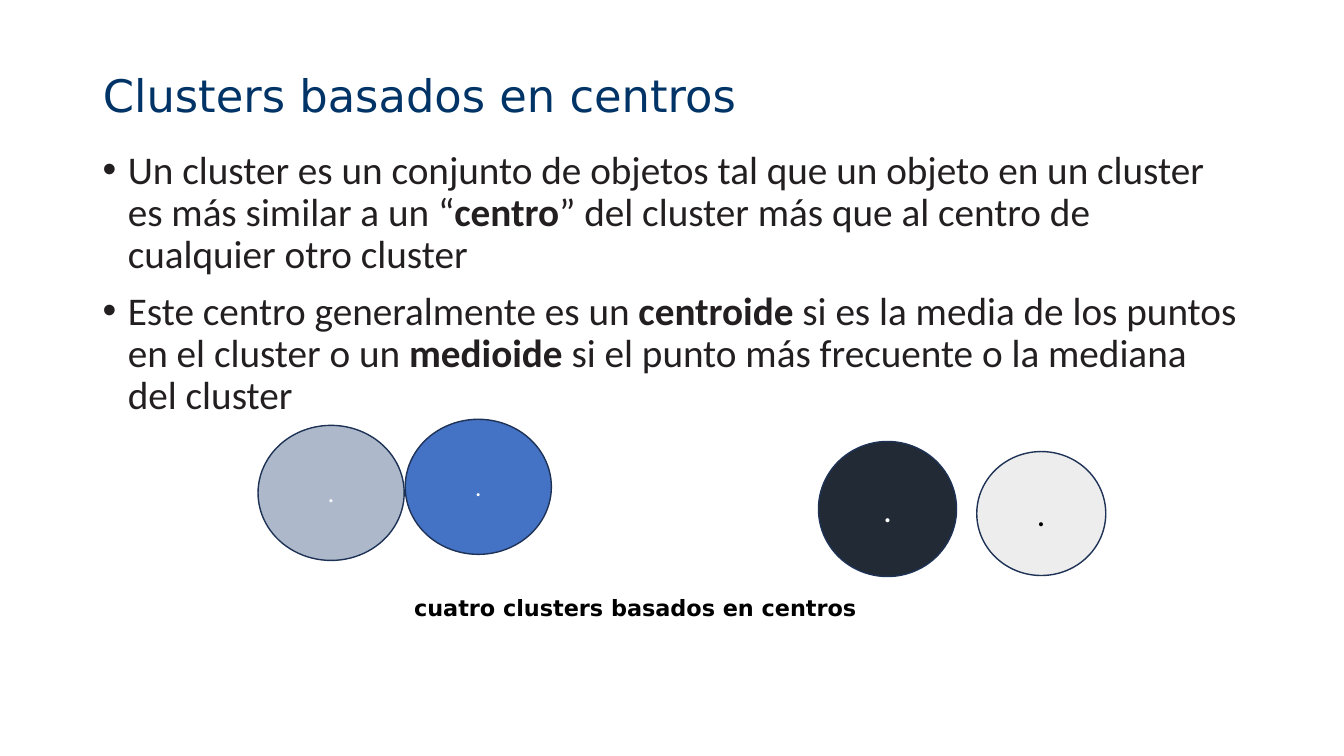
"""Build the slide on clusters based on centres."""
from dataclasses import dataclass

from lxml import etree
from pptx import Presentation
from pptx.dml.color import RGBColor
from pptx.enum.shapes import MSO_SHAPE
from pptx.enum.text import MSO_ANCHOR, MSO_AUTO_SIZE, PP_ALIGN
from pptx.oxml.ns import qn
from pptx.util import Pt

OVAL = MSO_SHAPE.OVAL
TOP, MIDDLE = MSO_ANCHOR.TOP, MSO_ANCHOR.MIDDLE
LEFT, CENTER, JUSTIFY = PP_ALIGN.LEFT, PP_ALIGN.CENTER, PP_ALIGN.JUSTIFY
NO_FIT = MSO_AUTO_SIZE.NONE
HEAD, BODY = "DejaVu Sans", "Calibri"
COLORS = {
    "title": "003366", "body": "231F20", "edge": "1E3256",
    "blue": "4472C4", "steel": "ADB9CA", "navy": "222A35",
    "pale": "EDEDED", "white": "FFFFFF", "black": "000000",
}


@dataclass
class Box:
    """Place and size in points."""
    left: float
    top: float
    width: float
    height: float


@dataclass
class Cluster:
    """A round cluster with a dot at its centre."""
    box: Box
    fill: str
    dot: str
    size: int


@dataclass
class Part:
    """A stretch of text, bold or plain."""
    text: str
    bold: bool = False


CLUSTERS = [
    Cluster(Box(289.44, 299.52, 104.4, 96.48), "blue", "white", 18),
    Cluster(Box(184.32, 303.84, 104.4, 96.48), "steel", "white", 18),
    Cluster(Box(584.64, 315.36, 98.64, 96.48), "navy", "white", 24),
    Cluster(Box(697.68, 322.56, 92.16, 88.56), "pale", "black", 24),
]
POINTS = [
    [
        Part("Un cluster es un conjunto de objetos tal que un objeto en un "
             "cluster es más similar a un “"),
        Part("centro", True),
        Part("” del cluster más que al centro de cualquier otro cluster"),
    ],
    [
        Part("Este centro generalmente es un "),
        Part("centroide", True),
        Part(" si es la media de los puntos en el cluster o un "),
        Part("medioide ", True),
        Part("si el punto más frecuente o la mediana del cluster"),
    ],
]


def color(name: str) -> RGBColor:
    """Return a colour by its name."""
    return RGBColor.from_string(COLORS[name])


def place(shape, box: Box) -> None:
    """Move and size a shape."""
    shape.left, shape.top = Pt(box.left), Pt(box.top)
    shape.width, shape.height = Pt(box.width), Pt(box.height)


def style(run, face: str, size: int, ink: str, bold: bool = False) -> None:
    """Format a run."""
    font = run.font
    font.name, font.size, font.bold = face, Pt(size), bold
    font.color.rgb = color(ink)


def frame(shape, anchor):
    """Set up the text frame of a shape and return it."""
    text = shape.text_frame
    text.word_wrap = True
    text.auto_size = NO_FIT
    text.vertical_anchor = anchor
    return text


def add_box(slide, box: Box):
    """Add an empty text box."""
    shape = slide.shapes.add_textbox(0, 0, 0, 0)
    place(shape, box)
    return shape


def write_line(shape, text: str, size: int, ink: str, bold: bool) -> None:
    """Write one line in the heading font."""
    frame(shape, MIDDLE).text = text
    para = shape.text_frame.paragraphs[0]
    para.alignment = JUSTIFY
    para.line_spacing = 0.9
    style(para.runs[0], HEAD, size, ink, bold)


def add_bullet(para, parts: list[Part]) -> None:
    """Fill a paragraph as a bullet with bold parts."""
    para.alignment = LEFT
    para.line_spacing = 0.9
    para.space_before = Pt(10)
    props = para._p.get_or_add_pPr()
    props.set("marL", str(Pt(18)))
    props.set("indent", str(-Pt(18)))
    etree.SubElement(props, qn("a:buFont")).set("typeface", "Arial")
    etree.SubElement(props, qn("a:buChar")).set("char", "•")
    for part in parts:
        run = para.add_run()
        run.text = part.text
        style(run, BODY, 28, "body", part.bold)


def add_points(slide, box: Box) -> None:
    """Add the list of bullets."""
    text = frame(add_box(slide, box), TOP)
    for index, parts in enumerate(POINTS):
        para = text.add_paragraph() if index else text.paragraphs[0]
        add_bullet(para, parts)


def add_cluster(slide, item: Cluster) -> None:
    """Draw a cluster and its centre."""
    shape = slide.shapes.add_shape(OVAL, 0, 0, 0, 0)
    place(shape, item.box)
    shape.shadow.inherit = False
    shape.fill.solid()
    shape.fill.fore_color.rgb = color(item.fill)
    shape.line.color.rgb = color("edge")
    shape.line.width = Pt(1)
    frame(shape, MIDDLE).text = "."
    para = shape.text_frame.paragraphs[0]
    para.alignment = CENTER
    style(para.runs[0], BODY, item.size, item.dot)


def main() -> None:
    """Build and save the slide."""
    deck = Presentation()
    deck.slide_width, deck.slide_height = Pt(960), Pt(540)
    slide = deck.slides.add_slide(deck.slide_layouts.get_by_name("Title Only"))
    title = slide.shapes.title
    place(title, Box(66.24, 28.8, 828, 82.08))
    write_line(title, "Clusters basados en centros", 32, "title", False)
    add_points(slide, Box(66.24, 103.68, 828, 375.12))
    for item in CLUSTERS:
        add_cluster(slide, item)
    note = add_box(slide, Box(288.72, 401.04, 331.92, 68.4))
    write_line(note, "cuatro clusters basados en centros", 16, "black", True)
    deck.save("out.pptx")


if __name__ == "__main__":
    main()
